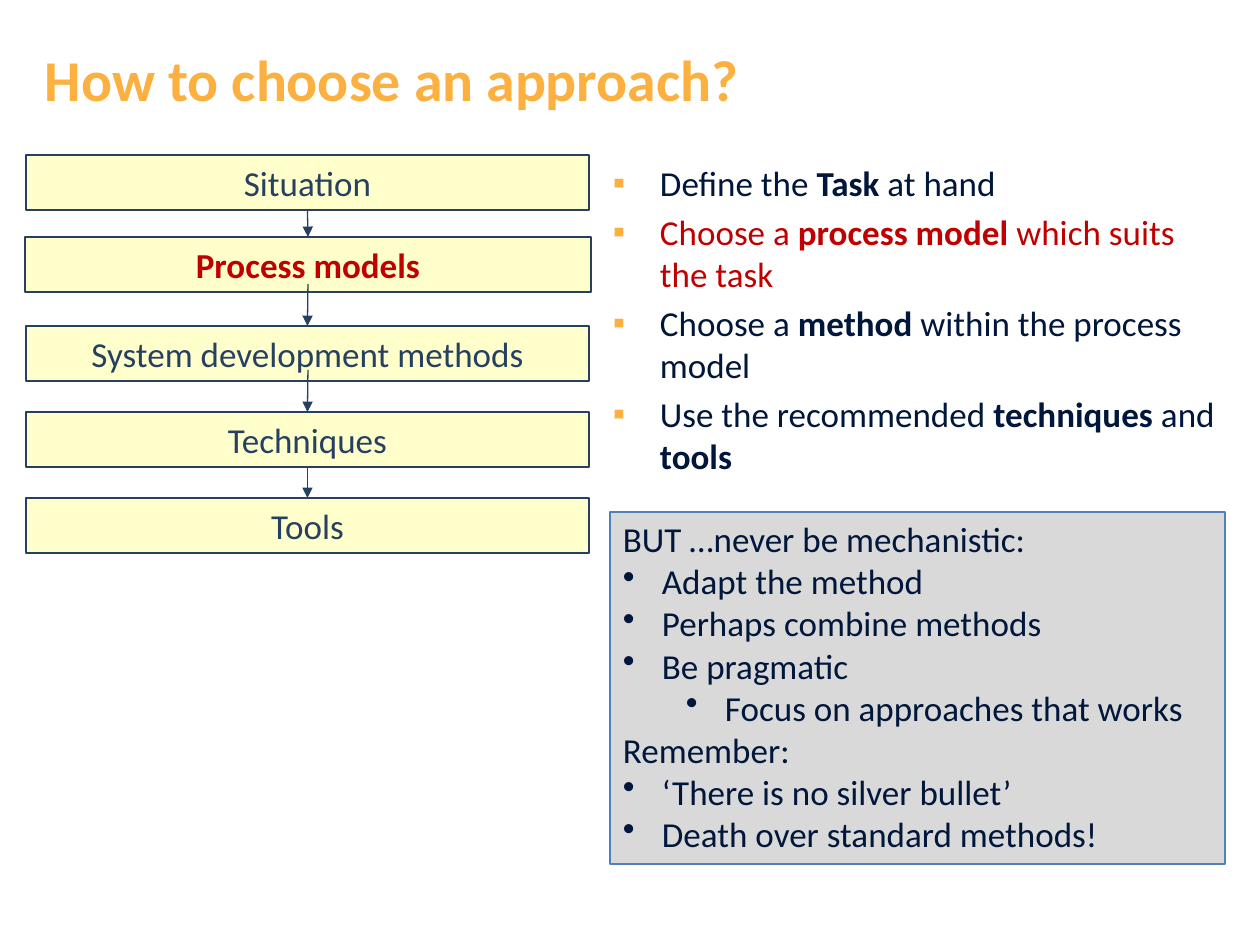
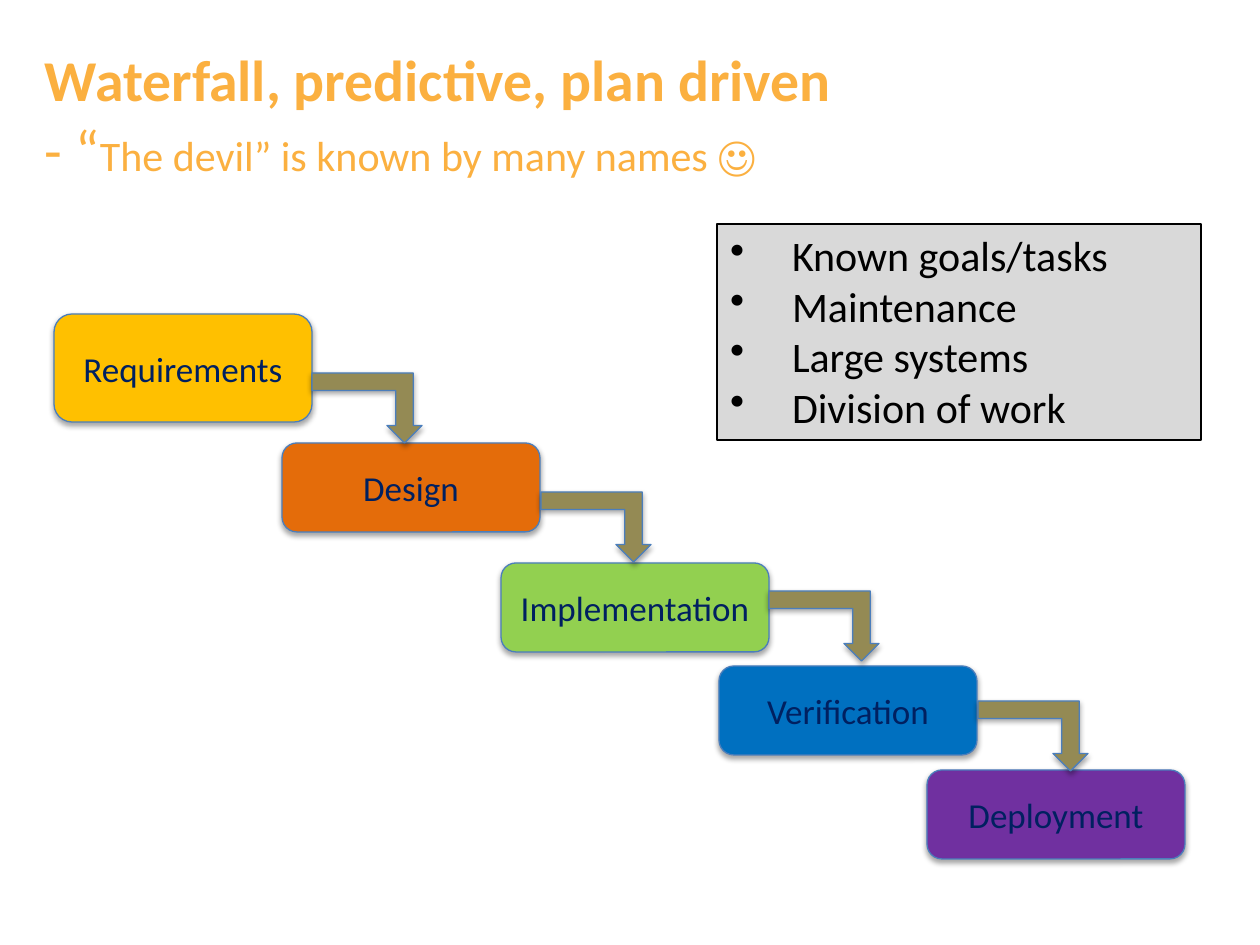
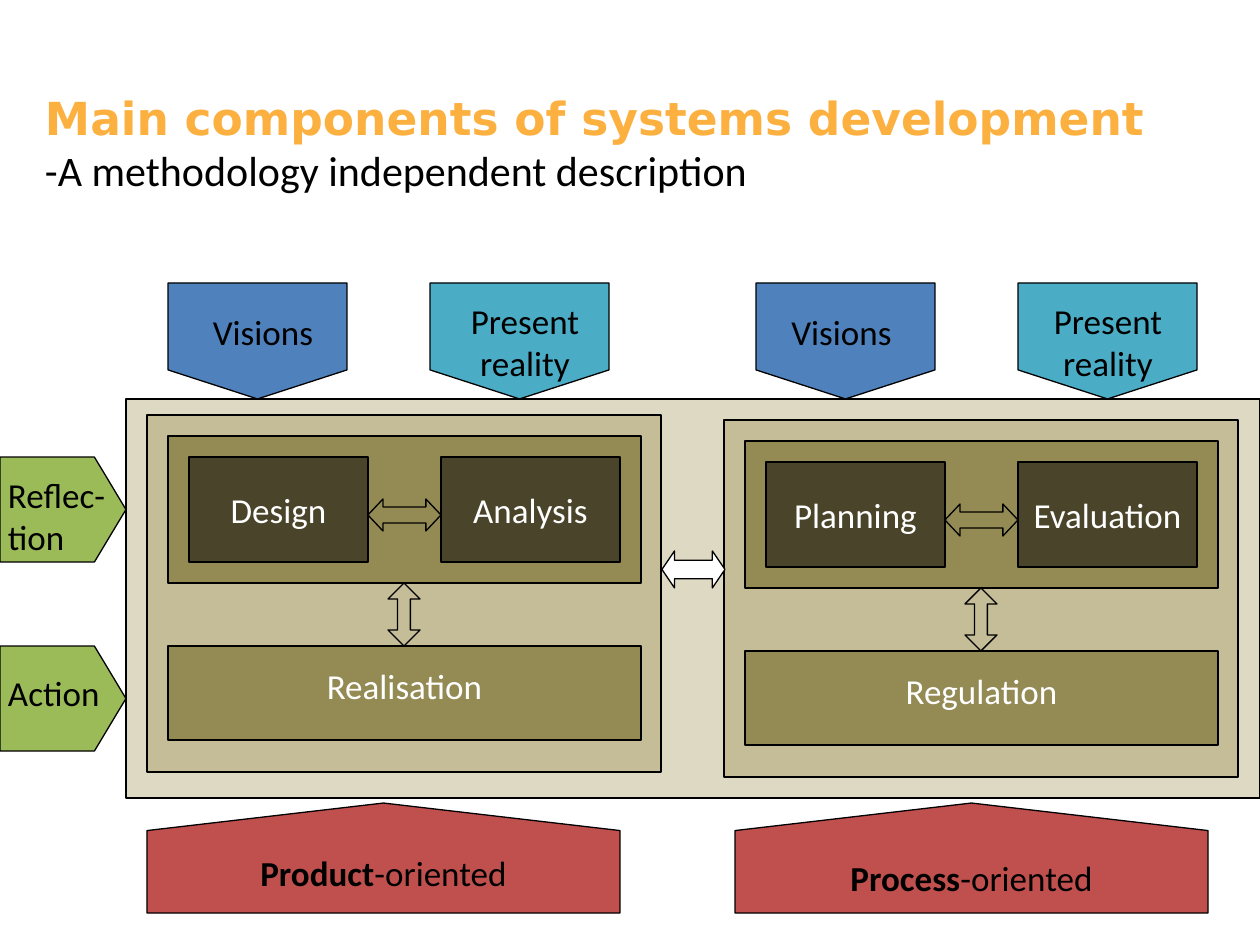
from lxml.etree import SubElement
from pptx import Presentation
from pptx.dml.color import RGBColor
from pptx.enum.shapes import MSO_CONNECTOR, MSO_SHAPE
from pptx.enum.text import MSO_ANCHOR, MSO_AUTO_SIZE, PP_ALIGN
from pptx.oxml.ns import qn
from pptx.util import Pt

FONT = "Calibri"
GOLD, NAVY, RED, BLACK, WHITE = "FBB040", "00163B", "C00000", "000000", "FFFFFF"
SLATE, CREAM, GREY, BLUE = "254061", "FFFFCC", "D9D9D9", "4F81BD"
SAND, STONE, OLIVE, DARK = "DDD9C3", "C4BD97", "948A54", "4A452A"
TEAL, GREEN, BRICK = "4BACC6", "9BBB59", "C0504D"
EDGE, INK = "4B7EBC", "002060"
INSET = (13, 6, 13, 6)


def px(num):
    return round(num * 914400 / 126)


def hue(code):
    return RGBColor.from_string(code)


def place(item, box):
    item.left, item.top, item.width, item.height = map(px, box)


# Text helpers
def add_run(para, text, size=20, tone=BLACK, bold=False, face=FONT):
    run = para.add_run()
    run.text = text
    font = run.font
    font.size, font.bold, font.name = Pt(size), bold, face
    font.color.rgb = hue(tone)


def add_runs(para, parts, size=20, tone=BLACK):
    """Parts alternate between plain and bold."""
    for num, part in enumerate(parts):
        if part:
            add_run(para, part, size, tone, num % 2 == 1)


def add_mark(para, char, left, hang, tone=None):
    props = para._p.get_or_add_pPr()
    props.set("marL", str(px(left)))
    props.set("indent", str(-px(hang)))
    if tone:
        SubElement(SubElement(props, qn("a:buClr")), qn("a:srgbClr")).set("val", tone)
    SubElement(props, qn("a:buChar")).set("char", char)


def set_frame(item, anchor=MSO_ANCHOR.TOP, inset=INSET, wrap=True):
    frame = item.text_frame
    frame.auto_size = MSO_AUTO_SIZE.NONE
    frame.word_wrap = wrap
    frame.vertical_anchor = anchor
    (frame.margin_left, frame.margin_top,
     frame.margin_right, frame.margin_bottom) = map(px, inset)
    return frame


def next_para(frame, num):
    return frame.add_paragraph() if num else frame.paragraphs[0]


def write(item, lines, tone=BLACK, align=PP_ALIGN.CENTER, **frame_opts):
    frame = set_frame(item, **frame_opts)
    for num, parts in enumerate(lines):
        para = next_para(frame, num)
        para.alignment = align
        add_runs(para, parts, tone=tone)


# Shape helpers
def draw(slide, kind, box, fill=None, line=BLACK, shade=False, adj=()):
    item = slide.shapes.add_shape(kind, *map(px, box))
    if fill:
        item.fill.solid()
        item.fill.fore_color.rgb = hue(fill)
    else:
        item.fill.background()
    item.line.color.rgb = hue(line)
    item.line.width = Pt(0.75)
    if not shade:
        item.shadow.inherit = False
    for num, val in enumerate(adj):
        item.adjustments[num] = val
    return item


def rect(slide, box, fill, line=BLACK):
    return draw(slide, MSO_SHAPE.RECTANGLE, box, fill, line)


def label(slide, box, lines, **opts):
    write(slide.shapes.add_textbox(*map(px, box)), lines, **opts)


def arrow(slide, x, top, end):
    item = slide.shapes.add_connector(
        MSO_CONNECTOR.STRAIGHT, px(x), px(top), px(x), px(end))
    item.line.color.rgb = hue(SLATE)
    item.line.width = Pt(0.75)
    props = item._element.spPr
    SubElement(props.find(qn("a:ln")), qn("a:tailEnd")).set("type", "triangle")
    SubElement(props, qn("a:effectLst"))
    return item


def plate(slide, box, fill, turn=0, adj=0.25):
    """Pentagon whose box is given as seen after turning."""
    x, y, wide, high = box
    if turn:
        gap = (wide - high) / 2
        x, y, wide, high = x + gap, y - gap, high, wide
    draw(slide, MSO_SHAPE.PENTAGON, (x, y, wide, high), fill, adj=[adj]).rotation = turn


def new_slide(deck, layout, box, lines):
    """Add a slide; each title line is a list of add_run arguments."""
    slide = deck.slides.add_slide(deck.slide_layouts[layout])
    title = slide.shapes.title
    place(title, box)
    para = set_frame(title).paragraphs[0]
    para.alignment = PP_ALIGN.LEFT
    for num, runs in enumerate(lines):
        if num:
            para.add_line_break()
        for run in runs:
            add_run(para, *run)
    return slide


# Slide 1
def add_stack(slide, x, y):
    rows = [("Situation", 0), ("Process models", 82), ("System development methods", 171),
            ("Techniques", 257), ("Tools", 343)]
    boxes = []
    for name, down in rows:
        key = name == "Process models"
        box = (x - 1, y + down, 566, 55) if key else (x, y + down, 563, 55)
        item = rect(slide, box, CREAM, SLATE)
        write(item, [["", name] if key else [name]], RED if key else SLATE)
        boxes.append(item)
    for num in range(4):
        top = y + 43 + 86 * num
        line = arrow(slide, x + 282, top, top + 43)
        if num in (0, 3):
            line.begin_connect(boxes[num], 2)
        line.end_connect(boxes[num + 1], 0)


def add_list(body, box):
    place(body, box)
    frame = set_frame(body)
    rows = [
        (NAVY, ["Define the ", "Task ", "at hand"]),
        (RED, ["Choose a ", "process model ", "which suits the task"]),
        (NAVY, ["Choose a ", "method", " within the process model"]),
        (NAVY, ["Use the recommended ", "techniques ", "and ", "tools"]),
    ]
    for num, (tone, parts) in enumerate(rows):
        para = next_para(frame, num)
        add_mark(para, "▪", 47, 47, GOLD)
        add_runs(para, parts, tone=tone)


def add_notes(slide, box, rows, size, tone, line, hang):
    """Grey panel; each row is a depth (0 plain, 1 or 2 bulleted) and a text."""
    frame = set_frame(rect(slide, box, GREY, line))
    for num, (depth, text) in enumerate(rows):
        para = next_para(frame, num)
        para.alignment = PP_ALIGN.LEFT
        if depth:
            para.level = depth - 1
            add_mark(para, "•", hang + 63 * (depth - 1), hang)
        add_run(para, text, size, tone)


def choice(deck):
    slide = new_slide(deck, 1, (32, 38, 1197, 98),
                      [[("How to choose an approach?", 33, GOLD, True)]])
    add_list(slide.placeholders[1], (600, 155, 629, 727))
    rows = [(0, "BUT …never be mechanistic:"), (1, "Adapt the method"),
            (1, "Perhaps combine methods"), (1, "Be pragmatic"),
            (2, "Focus on approaches that works"), (0, "Remember:"),
            (1, "‘There is no silver bullet’"), (1, "Death over standard methods!")]
    add_notes(slide, (610, 512, 615, 352), rows, 20, NAVY, BLUE, 39)
    add_stack(slide, 26, 155)


# Slide 2
def add_falls(slide):
    steps = [
        ("Requirements", "FFC000", (54, 314, 258, 108)),
        ("Design", "E46C0A", (282, 443, 258, 89)),
        ("Implementation", "92D050", (501, 563, 268, 89)),
        ("Verification", "0070C0", (719, 666, 258, 89)),
        ("Deployment", "7030A0", (927, 770, 258, 89)),
    ]
    for name, fill, box in steps:
        item = draw(slide, MSO_SHAPE.ROUNDED_RECTANGLE, box, fill, EDGE, True)
        write(item, [[name]], INK, anchor=MSO_ANCHOR.MIDDLE)
    for x, y in [(312, 373), (541, 492), (769, 591), (978, 701)]:
        bend = draw(slide, MSO_SHAPE.BENT_UP_ARROW, (x, y, 110, 70), OLIVE, EDGE, True)
        bend._element.spPr.xfrm.set("flipV", "1")


def falls(deck):
    slide = new_slide(deck, 5, (32, 38, 1197, 156), [
        [("Waterfall, predictive, plan driven", 33, GOLD, True)],
        [("- “", 33, GOLD), ("The devil” is known by many names ☺", 24, GOLD)]])
    add_falls(slide)
    goals = ["Known goals/tasks", "Maintenance", "Large systems", "Division of work"]
    add_notes(slide, (717, 224, 484, 216), [(1, goal) for goal in goals],
              24, BLACK, BLACK, 62)


# Slide 3
def add_panel(slide, x, y, first, second, base):
    def at(left, top, wide, high):
        return x + left, y + top, wide, high

    rect(slide, at(0, 0, 514, 357), STONE)
    rect(slide, at(21, 21, 473, 147), OLIVE)
    for name, left in [(first, 42), (second, 294)]:
        item = rect(slide, at(left, 42, 179, 105), DARK)
        write(item, [[name]], WHITE, anchor=MSO_ANCHOR.MIDDLE)
    draw(slide, MSO_SHAPE.LEFT_RIGHT_ARROW, at(221, 84, 73, 32), adj=[0.5, 0.47])
    item = rect(slide, at(21, 231, 473, 94), OLIVE)
    write(item, [[base]], WHITE, inset=(13, 18, 13, 6))
    draw(slide, MSO_SHAPE.UP_DOWN_ARROW, at(241, 168, 32, 63), adj=[0.5, 0.4])


def add_inputs(slide, y):
    present = [["Present"], ["reality"]]
    rows = [(168, BLUE, (179, 168), [["Visions"]], 21),
            (430, TEAL, (420, 210), present, 10),
            (756, BLUE, (752, 179), [["Visions"]], 21),
            (1018, TEAL, (1029, 158), present, 10)]
    for x, fill, (left, wide), lines, down in rows:
        plate(slide, (x, y, 179, 116), fill, 90)
        label(slide, (left, y + down, wide, 97), lines)


def add_sides(slide):
    rows = [(457, 10, [["Reflec-"], ["tion"]]), (646, 19, [["Action"]])]
    for y, down, lines in rows:
        plate(slide, (0, y, 126, 105), GREEN, adj=0.3)
        label(slide, (0, y + down, 118, 55 * len(lines)), lines,
              align=PP_ALIGN.LEFT, inset=(8, 6, 0, 6), wrap=False)


def add_bases(slide, y):
    for x, name, down in [(147, "Product", 42), (735, "Process", 47)]:
        plate(slide, (x, y, 473, 110), BRICK, 270)
        label(slide, (x, y + down, 473, 55), [["", name, "-oriented"]])


def parts(deck):
    slide = new_slide(deck, 5, (32, 84, 1197, 137), [
        [("Main components of systems development", 26, GOLD, True, "DejaVu Sans")],
        [("-A methodology independent description", 24)]])
    rect(slide, (126, 399, 1134, 399), SAND)
    add_panel(slide, 147, 415, "Design", "Analysis", "Realisation")
    add_panel(slide, 724, 420, "Planning", "Evaluation", "Regulation")
    draw(slide, MSO_SHAPE.LEFT_RIGHT_ARROW, (662, 551, 63, 37), WHITE, adj=[0.5, 0.34])
    add_sides(slide)
    add_bases(slide, 803)
    add_inputs(slide, 283)


def main():
    deck = Presentation()
    deck.slide_width, deck.slide_height = px(1260), px(945)
    choice(deck)
    falls(deck)
    parts(deck)
    deck.save("out.pptx")


if __name__ == "__main__":
    main()
